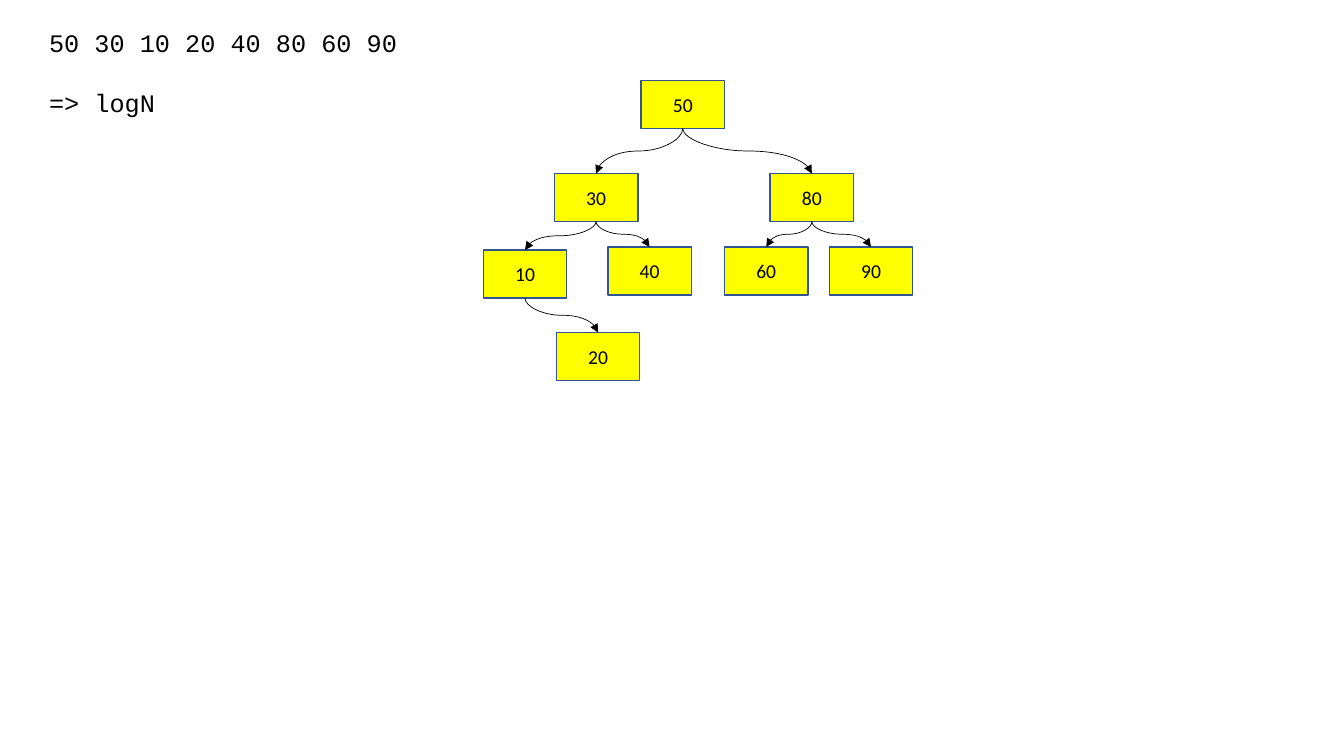
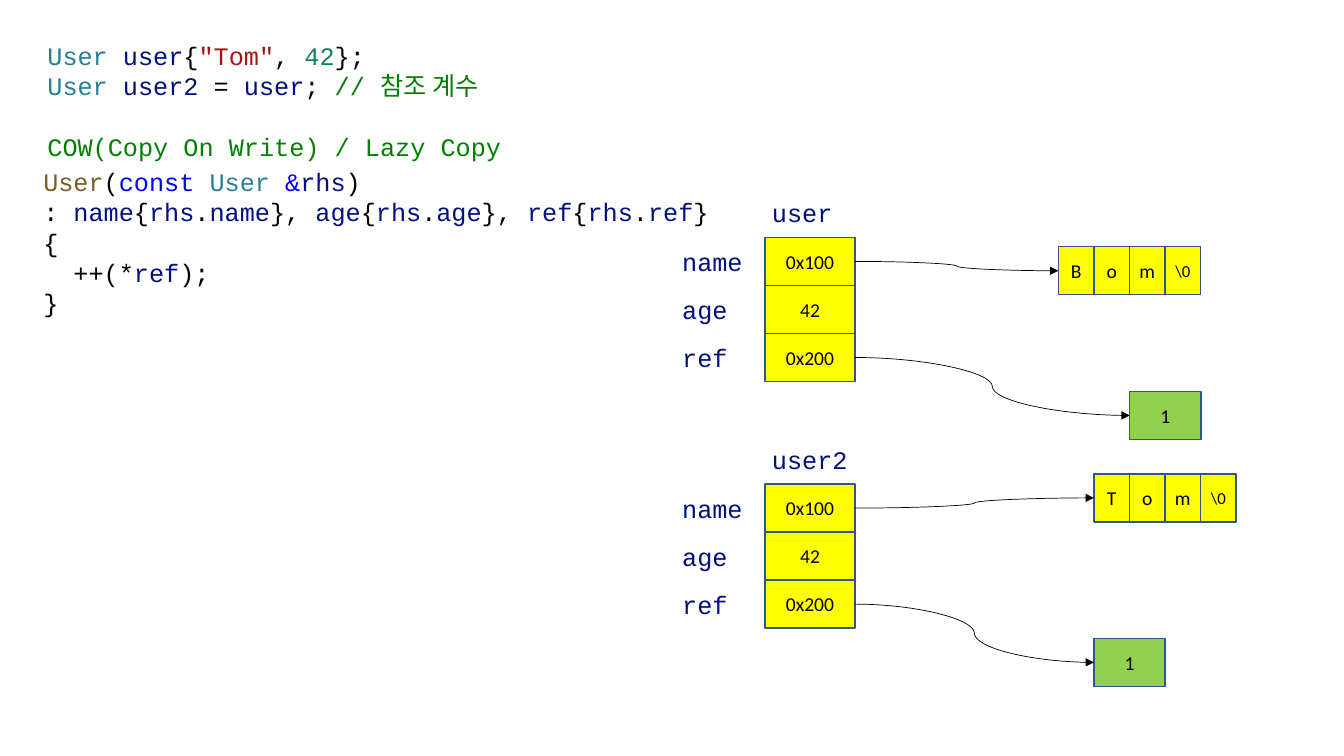
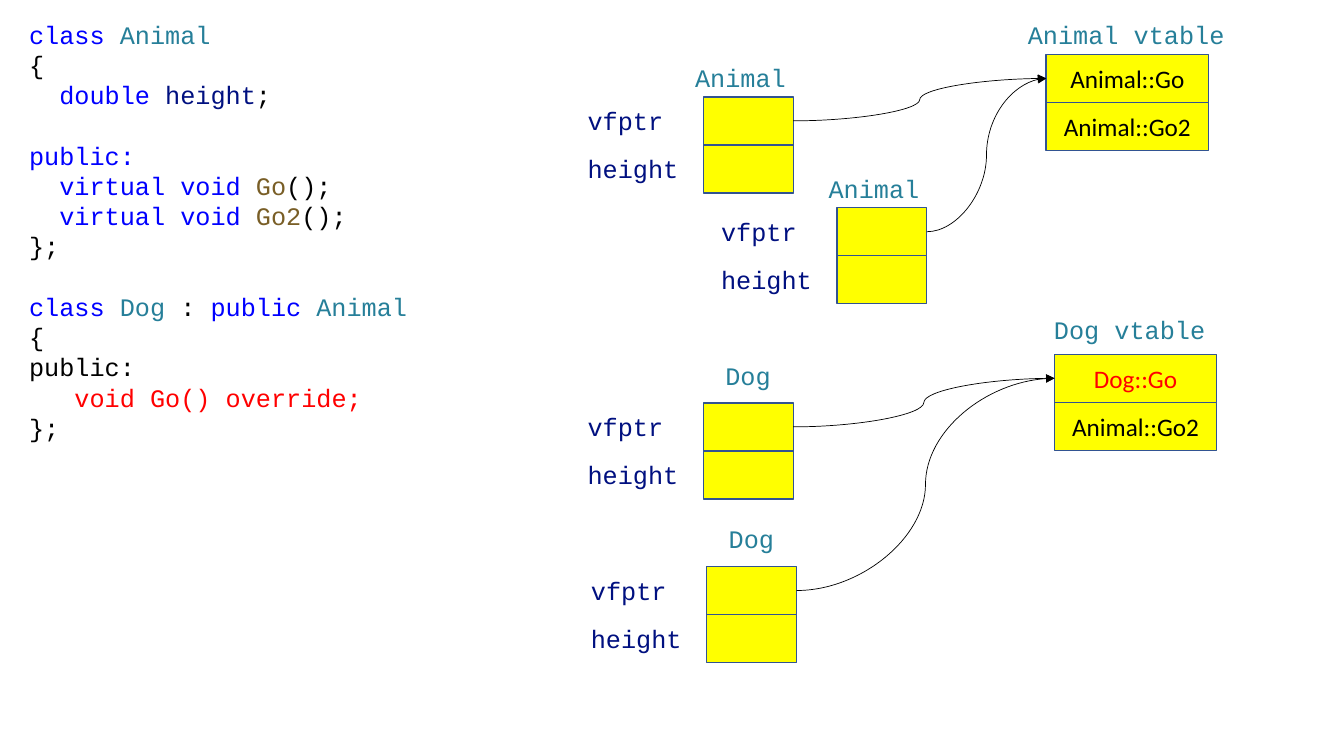
from lxml import etree
from pptx import Presentation
from pptx.dml.color import RGBColor
from pptx.enum.shapes import MSO_CONNECTOR, MSO_SHAPE
from pptx.enum.text import MSO_ANCHOR, PP_ALIGN
from pptx.oxml.ns import qn
from pptx.util import Pt

RECTANGLE = MSO_SHAPE.RECTANGLE
CURVE = MSO_CONNECTOR.CURVE
CENTER, LEFT = PP_ALIGN.CENTER, PP_ALIGN.LEFT
MIDDLE, TOP = MSO_ANCHOR.MIDDLE, MSO_ANCHOR.TOP

BLACK = RGBColor(0x00, 0x00, 0x00)
YELLOW = RGBColor(0xFF, 0xFF, 0x00)
LIME = RGBColor(0x92, 0xD0, 0x50)
OUTLINE = RGBColor(0x32, 0x54, 0x91)
RED = RGBColor(0xFF, 0x00, 0x00)
# Syntax colours
TYPE = RGBColor(0x26, 0x7F, 0x99)
NAME = RGBColor(0x00, 0x10, 0x80)
STRING = RGBColor(0xA3, 0x15, 0x15)
NUMBER = RGBColor(0x09, 0x86, 0x58)
COMMENT = RGBColor(0x00, 0x80, 0x00)
KEYWORD = RGBColor(0x00, 0x00, 0xFF)
FUNCTION = RGBColor(0x79, 0x5E, 0x26)

CODE_FONT, CELL_FONT = "Courier New", "Calibri"
CODE_SIZE, CHAR_WIDTH, LINE_PITCH = 18, 10.8, 21.6
INSET_X, LABEL_HEIGHT = 7.2, 29.1
ROW = 34.3
NODE_WIDTH, FIELD_WIDTH, ENTRY_WIDTH = 59.6, 64.2, 116
CHAR_CELL, COUNTER_WIDTH = 25.4, 50.8
GAP = None  # an empty line of code


def write_text(frame, lines, font=CODE_FONT, size=CODE_SIZE, align=LEFT,
               anchor=TOP, wrap=True, pitch=LINE_PITCH):
    """Fill a frame with lines, each a list of (text, colour) spans."""
    frame.word_wrap = wrap
    frame.vertical_anchor = anchor
    para, space = frame.paragraphs[0], 0
    started = False
    for line in lines:
        if line is GAP:
            space += LINE_PITCH
            continue
        if started:
            para = frame.add_paragraph()
        started = True
        para.alignment = align
        if pitch:
            para.line_spacing = Pt(pitch)
        if space:
            para.space_before = Pt(space)
        space = 0
        for text, color in line:
            span = para.add_run()
            span.text = text
            span.font.name = font
            span.font.size = Pt(size)
            span.font.color.rgb = color


def add_code(page, left, top, width, height, lines, wrap=True):
    box = page.shapes.add_textbox(Pt(left), Pt(top), Pt(width), Pt(height))
    write_text(box.text_frame, lines, wrap=wrap)


def add_label(page, left, top, text, color=NAME):
    width = len(text) * CHAR_WIDTH + 2 * INSET_X
    add_code(page, left, top, width, LABEL_HEIGHT, [[(text, color)]], wrap=False)


def add_cell(page, left, top, width, text="", fill=YELLOW, size=14, color=BLACK):
    cell = page.shapes.add_shape(RECTANGLE, Pt(left), Pt(top), Pt(width), Pt(ROW))
    cell.shadow.inherit = False
    cell.fill.solid()
    cell.fill.fore_color.rgb = fill
    cell.line.color.rgb = OUTLINE
    cell.line.width = Pt(1)
    if text:
        frame = cell.text_frame
        frame.margin_left = frame.margin_right = 0
        write_text(frame, [[(text, color)]], font=CELL_FONT, size=size,
                   align=CENTER, anchor=MIDDLE, pitch=None)


def add_arrow(page, start, end, downward=False):
    """Curved arrow that leaves sideways, or from the bottom if downward."""
    (x1, y1), (x2, y2) = start, end
    if downward:
        # A curve bends along its width, so lay it flat and turn it
        middle_x, middle_y = (x1 + x2) / 2, (y1 + y2) / 2
        side = 1 if x2 < x1 else -1
        reach, rise = side * (y2 - y1) / 2, abs(x2 - x1) / 2
        x1, x2 = middle_x - reach, middle_x + reach
        y1, y2 = middle_y - rise, middle_y + rise
    arrow = page.shapes.add_connector(CURVE, Pt(x1), Pt(y1), Pt(x2), Pt(y2))
    if downward:
        turn = 90 if side > 0 else 270
        arrow.element.find(".//" + qn("a:xfrm")).set("rot", str(turn * 60000))
    arrow.line.color.rgb = BLACK
    arrow.line.width = Pt(0.5)
    outline = arrow.element.find(".//" + qn("a:ln"))
    etree.SubElement(outline, qn("a:tailEnd")).set("type", "triangle")
    etree.SubElement(outline.getparent(), qn("a:effectLst"))


def add_record(page, left, top, title, fields, title_shift, title_color=NAME,
               label_shift=-66.3):
    """Labelled stack of cells; returns the right middle of each cell."""
    add_label(page, left + title_shift[0], top + title_shift[1], title, title_color)
    ports = []
    for index, (label, value) in enumerate(fields):
        y = top + index * ROW
        add_cell(page, left, y, FIELD_WIDTH, value)
        add_label(page, left + label_shift, y + 2.7, label)
        ports.append((left + FIELD_WIDTH, y + ROW / 2))
    return ports


def add_vtable(page, left, top, title, entries, title_shift):
    """Titled table of functions; returns the left middle of its first entry."""
    add_label(page, left + title_shift[0], top + title_shift[1], title, TYPE)
    for index, (text, color) in enumerate(entries):
        add_cell(page, left, top + index * ROW, ENTRY_WIDTH, text, size=18, color=color)
    return left, top + ROW / 2


def add_string(page, left, top, letters):
    """Row of character cells; returns its left middle."""
    for index, letter in enumerate([*letters, "\\0"]):
        add_cell(page, left + index * CHAR_CELL, top, CHAR_CELL, letter,
                 size=14 if len(letter) == 1 else 12)
    return left, top + ROW / 2


def add_counter(page, left, top, count):
    add_cell(page, left, top, COUNTER_WIDTH, count, fill=LIME)
    return left, top + ROW / 2


def build_tree_slide(page):
    add_code(page, 28, 15.8, 376.6, 72.7, [
        [("50 30 10 20 40 80 60 90", BLACK)], GAP, [("=> logN", BLACK)]])
    # Key: left, top, parent
    nodes = {
        "50": (457.9, 57.4, None),
        "30": (396, 124, "50"),
        "80": (550.1, 124, "50"),
        "10": (345.2, 178.6, "30"),
        "40": (434.2, 176.4, "30"),
        "60": (517.5, 176.4, "80"),
        "90": (592.4, 176.4, "80"),
        "20": (397.4, 237.5, "10"),
    }
    for key, (left, top, parent) in nodes.items():
        add_cell(page, left, top, NODE_WIDTH, key)
        if parent:
            parent_left, parent_top, _ = nodes[parent]
            half = NODE_WIDTH / 2
            add_arrow(page, (parent_left + half, parent_top + ROW),
                      (left + half, top), downward=True)


def build_sharing_slide(page):
    # Code
    add_code(page, 26.8, 25.3, 365, 94.5, [
        [("User ", TYPE), ("user", NAME), ("{", BLACK), ('"Tom"', STRING),
         (", ", BLACK), ("42", NUMBER), ("};", BLACK)],
        [("User ", TYPE), ("user2", NAME), (" = ", BLACK), ("user", NAME),
         (";", BLACK), (" // 참조 계수", COMMENT)],
        GAP,
        [("COW(Copy On Write) / Lazy Copy", COMMENT)]])
    initializers = [(": ", BLACK)]
    for member, closing in (("name", "}, "), ("age", "}, "), ("ref", "}")):
        initializers += [(member, NAME), ("{", BLACK), ("rhs", NAME),
                         (".", BLACK), (member, NAME), (closing, BLACK)]
    add_code(page, 23.8, 115.4, 497, 116.4, [
        [("User", FUNCTION), ("(", BLACK), ("const ", KEYWORD), ("User ", TYPE),
         ("&", KEYWORD), ("rhs", NAME), (")", BLACK)],
        initializers,
        [("{", BLACK)],
        [("  ++(*", BLACK), ("ref", NAME), (");", BLACK)],
        [("}", BLACK)]])
    # Objects with their string and counter
    fields = [("name", "0x100"), ("age", "42"), ("ref", "0x200")]
    objects = [
        ("user", 169.6, "Bom", (756, 176.3), (807, 279.6)),
        ("user2", 345.8, "Tom", (781.4, 338.5), (781.4, 456)),
    ]
    for title, top, letters, string_at, counter_at in objects:
        ports = add_record(page, 546.5, top, title, fields, (-2.2, -32))
        add_arrow(page, ports[0], add_string(page, *string_at, letters))
        add_arrow(page, ports[2], add_counter(page, *counter_at, "1"))


def build_vtable_slide(page):
    # Code
    add_code(page, 13.7, 10, 337, 312.5, [
        [("class ", KEYWORD), ("Animal", TYPE)],
        [("{", BLACK)],
        [("  double ", KEYWORD), ("height", NAME), (";", BLACK)],
        GAP,
        [("public:", KEYWORD)],
        [("  virtual void ", KEYWORD), ("Go", FUNCTION), ("();", BLACK)],
        [("  virtual void ", KEYWORD), ("Go2", FUNCTION), ("();", BLACK)],
        [("};", BLACK)],
        GAP,
        [("class ", KEYWORD), ("Dog", TYPE), (" : ", BLACK),
         ("public ", KEYWORD), ("Animal", TYPE)],
        [("{", BLACK)],
        [("public:", BLACK)],
        [("   void Go() override;", RED)],
        [("};", BLACK)]])
    # Tables of virtual functions
    animal_entry = add_vtable(page, 747.3, 38.9, "Animal vtable", [
        ("Animal::Go", BLACK), ("Animal::Go2", BLACK)], (-20.2, -28.8))
    dog_entry = add_vtable(page, 753.2, 253.1, "Dog vtable", [
        ("Dog::Go", RED), ("Animal::Go2", BLACK)], (-7.4, -32))
    # Objects pointing at them
    animal_shift, dog_shift = (-13, -28.4), (8.6, -34.2)
    objects = [
        ("Animal", 502.4, 69.2, animal_shift, animal_entry),
        ("Animal", 597.8, 148.4, animal_shift, animal_entry),
        ("Dog", 502.4, 287.8, dog_shift, dog_entry),
        ("Dog", 504.8, 404.7, dog_shift, dog_entry),
    ]
    for title, left, top, shift, entry in objects:
        ports = add_record(page, left, top, title, [("vfptr", ""), ("height", "")],
                           shift, title_color=TYPE, label_shift=-89.8)
        add_arrow(page, ports[0], entry)


def main():
    deck = Presentation()
    deck.slide_width, deck.slide_height = Pt(960), Pt(540)
    blank = deck.slide_layouts[6]
    for build in (build_tree_slide, build_sharing_slide, build_vtable_slide):
        build(deck.slides.add_slide(blank))
    deck.save("out.pptx")


if __name__ == "__main__":
    main()
